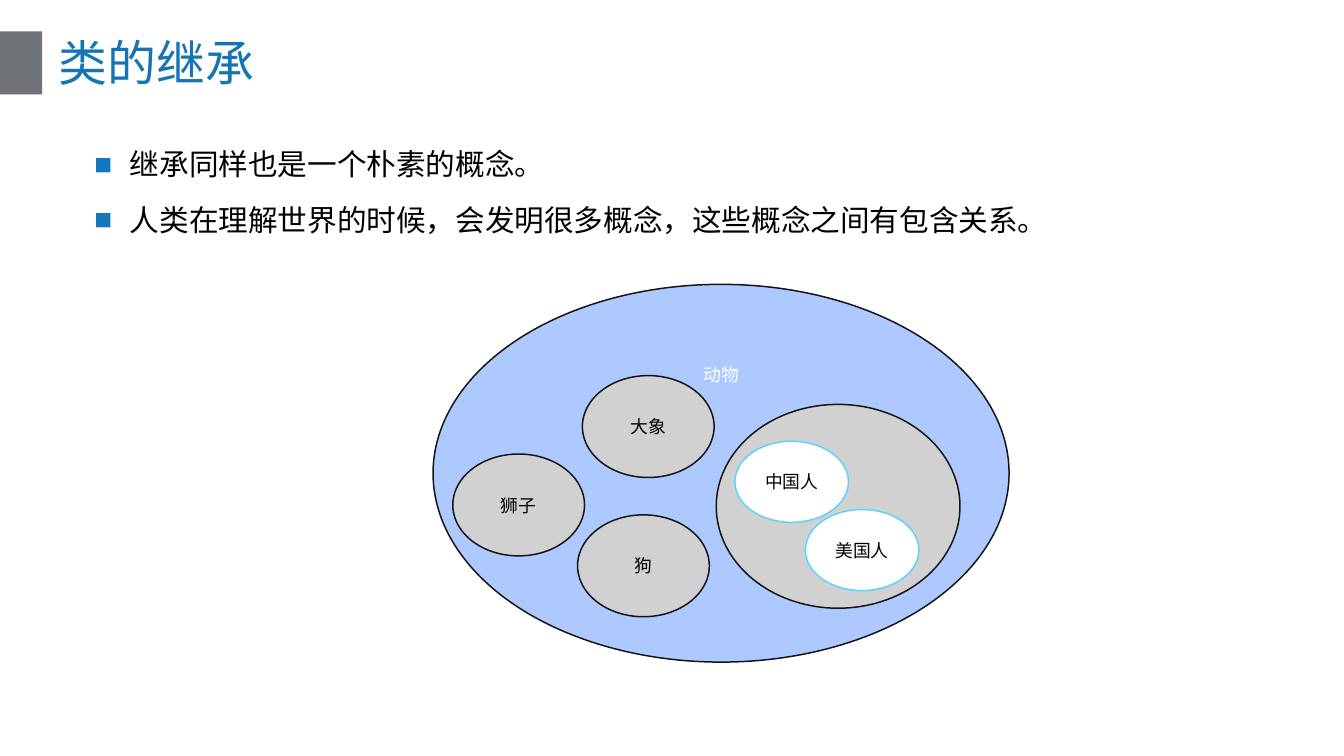
from dataclasses import dataclass

from lxml import etree
from pptx import Presentation
from pptx import util as u
from pptx.dml.color import RGBColor
from pptx.enum import shapes, text
from pptx.oxml.ns import qn

FONT = "Noto Sans CJK SC"
BLACK, WHITE = "000000", "FFFFFF"
GREY, DARK, SKY = "D1D1D1", "141414", "5CD3FF"
ANIMAL_SIZE = (177.84, 137.52)
NATION_SIZE = (153.36, 109.44)
BULLETS = (
    "继承同样也是一个朴素的概念。",
    "人类在理解世界的时候，会发明很多概念，这些概念之间有包含关系。",
)


@dataclass(frozen=True)
class Concept:
    """An ellipse standing for one class in the hierarchy."""

    label: str
    left: float
    top: float
    size: tuple[float, float]
    fill: str = GREY
    line: str = DARK
    ink: str = BLACK
    frame: tuple[tuple[str, object], ...] = ()


CONCEPTS = (
    Concept("动物", 584.64, 383.76, (777.6, 509.76), "AEC9FF", ink=WHITE,
            frame=(("vertical_anchor", text.MSO_ANCHOR.TOP), ("margin_top", u.Pt(33)))),
    Concept("狮子", 611.28, 612.72, ANIMAL_SIZE),
    Concept("狗", 779.76, 694.8, ANIMAL_SIZE),
    Concept("大象", 786.24, 506.88, ANIMAL_SIZE),
    Concept("", 966.96, 545.76, (329.04, 275.04)),
    Concept("中国人", 992.16, 595.44, NATION_SIZE, WHITE, SKY),
    Concept("美国人", 1087.2, 687.6, NATION_SIZE, WHITE, SKY),
)


def color(value: str) -> RGBColor:
    """Turn a hex string into a colour."""
    return RGBColor.from_string(value)


def apply(target: object, values: dict[str, object]) -> None:
    """Set each named attribute of the target."""
    for name, value in values.items():
        setattr(target, name, value)


def place(box, left: float, top: float, width: float, height: float) -> None:
    """Position a box, in points."""
    apply(box, {"left": u.Pt(left), "top": u.Pt(top),
                "width": u.Pt(width), "height": u.Pt(height)})


def write(para, words: str, size: float, ink: str) -> None:
    """Add one formatted span to a paragraph."""
    span = para.add_run()
    span.text = words
    apply(span.font, {"size": u.Pt(size), "name": FONT, "bold": False})
    span.font.color.rgb = color(ink)
    etree.SubElement(span.font._element, qn("a:ea"), typeface=FONT)


def add_bullet(para, words: str) -> None:
    """Write a list item with a blue square bullet."""
    apply(para, {"line_spacing": u.Pt(72), "space_before": u.Pt(2.5),
                 "alignment": text.PP_ALIGN.LEFT})
    props = para._p.get_or_add_pPr()
    props.set("marL", str(u.Pt(48)))
    props.set("indent", str(-u.Pt(48)))
    tint = etree.SubElement(props, qn("a:buClr"))
    etree.SubElement(tint, qn("a:srgbClr"), val="1577BA")
    etree.SubElement(props, qn("a:buFont"), typeface="Arial")
    etree.SubElement(props, qn("a:buChar"), char="■")
    write(para, words, 40, BLACK)


def add_filled(page, kind, bounds: tuple[float, ...], fill: str):
    """Add a flat preset shape with a solid fill."""
    box = page.shapes.add_shape(kind, *map(u.Pt, bounds))
    box.shadow.inherit = False
    box.fill.solid()
    box.fill.fore_color.rgb = color(fill)
    return box


def add_concept(page, concept: Concept) -> None:
    """Draw a concept ellipse and its label."""
    box = add_filled(page, shapes.MSO_SHAPE.OVAL,
                     (concept.left, concept.top, *concept.size), concept.fill)
    box.line.color.rgb = color(concept.line)
    box.line.width = u.Pt(2)
    if concept.label:
        frame = {"word_wrap": True, "vertical_anchor": text.MSO_ANCHOR.MIDDLE}
        apply(box.text_frame, frame | dict(concept.frame))
        para = box.text_frame.paragraphs[0]
        para.alignment = text.PP_ALIGN.CENTER
        write(para, concept.label, 24, concept.ink)


def main() -> None:
    """Build the slide on class inheritance."""
    deck = Presentation()
    apply(deck, {"slide_width": u.Pt(1814.4), "slide_height": u.Pt(1020.24)})
    page = deck.slides.add_slide(deck.slide_layouts[1])
    marker = add_filled(page, shapes.MSO_SHAPE.RECTANGLE, (0, 42.48, 56.88, 84.96), "6F7378")
    marker.line.fill.background()

    title, body = page.shapes.title, page.placeholders[1]
    place(title, 56.88, 41.04, 1700.64, 86.4)
    apply(title.text_frame, {"vertical_anchor": text.MSO_ANCHOR.MIDDLE,
                             "margin_left": u.Pt(22),
                             "auto_size": text.MSO_AUTO_SIZE.NONE})
    heading = title.text_frame.paragraphs[0]
    heading.alignment = text.PP_ALIGN.LEFT
    write(heading, "类的继承", 66, "1475B2")

    place(body, 120.24, 169.92, 1574.64, 230.4)
    apply(body.text_frame, {"vertical_anchor": text.MSO_ANCHOR.TOP,
                            "auto_size": text.MSO_AUTO_SIZE.NONE})
    for index, words in enumerate(BULLETS):
        frame = body.text_frame
        add_bullet(frame.add_paragraph() if index else frame.paragraphs[0], words)

    for concept in CONCEPTS:
        add_concept(page, concept)
    deck.save("out.pptx")


if __name__ == "__main__":
    main()
